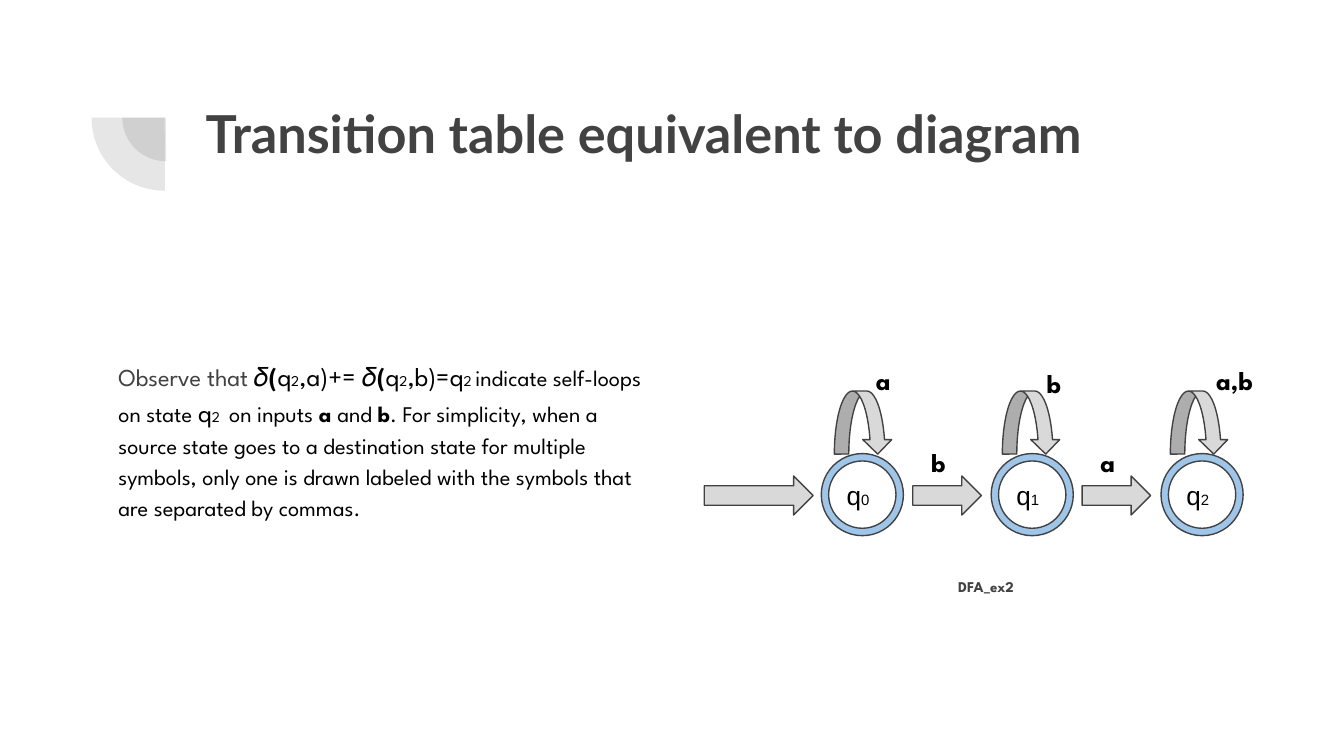
"""Build a slide that explains self-loops in a three-state automaton diagram."""
from dataclasses import dataclass

import lxml.etree
import pptx
import pptx.dml.color
import pptx.enum.shapes
import pptx.enum.text
import pptx.oxml.ns
import pptx.presentation
import pptx.shapes.autoshape
import pptx.shapes.base
import pptx.slide
import pptx.text.text
import pptx.util

Pt = pptx.util.Pt
Preset = pptx.enum.shapes.MSO_SHAPE
Anchor = pptx.enum.text.MSO_ANCHOR
qn = pptx.oxml.ns.qn


@dataclass(frozen=True)
class Theme:
    """Colours, fonts and type sizes."""

    ink: str = "424242"
    caption_ink: str = "434343"
    black: str = "000000"
    state_fill: str = "9FC5E8"
    arrow_fill: str = "D9D9D9"
    title_font: str = "Lato"
    body_font: str = "League Spartan"
    state_font: str = "Arial"
    title: float = 28
    symbol: float = 14
    lead: float = 13
    body: float = 12
    small: float = 8
    outline: float = 0.75
    ornament_alpha: int = 13000


THEME = Theme()


@dataclass(frozen=True)
class Box:
    """A rectangle in points."""

    left: float
    top: float
    width: float
    height: float


@dataclass(frozen=True)
class Span:
    """A stretch of text with one format."""

    text: str
    size: float
    bold: bool = False
    color: str = THEME.black


@dataclass(frozen=True)
class Label:
    """A bold line of text beside an arrow or below the diagram."""

    text: str
    box: Box
    size: float = THEME.symbol
    color: str = THEME.black


STATE_LEFT, STATE_STEP = 440, 91
LOOP_LEFT, LOOP_STEP = 447, 90
STATE_COUNT = 3
ARROWS = [Box(377.3, 255, 58.3, 20.9), Box(489, 255, 36.7, 20.9), Box(579.7, 255, 36.7, 20.9)]
ORNAMENTS = [Box(65.5, 39.6, 46.8, 46.8), Box(49, 23.7, 78.5, 78.5)]
LABELS = [
    Label("a", Box(462.2, 188, 31, 30)),
    Label("b", Box(491.8, 231.8, 31, 30)),
    Label("b", Box(553.7, 189.8, 31, 26)),
    Label("a", Box(582.5, 231.8, 31, 30)),
    Label("a,b", Box(644.4, 188, 44, 30)),
    Label("DFA_ex2", Box(506.2, 302.4, 82.8, 31), THEME.small, THEME.caption_ink),
]
OBSERVATION = [
    Span("Observe that ", THEME.lead, color=THEME.ink),
    Span("𝛿(", THEME.symbol, True),
    Span("q", THEME.symbol),
    Span("2", THEME.small),
    Span(",a)+= ", THEME.symbol),
    Span("𝛿(", THEME.symbol, True),
    Span("q", THEME.symbol),
    Span("2", THEME.small),
    Span(",b)=q", THEME.symbol),
    Span("2 ", THEME.small),
    Span("indicate self-loops on state ", THEME.body),
    Span("q", THEME.symbol),
    Span("2 ", THEME.small),
    Span(" on inputs ", THEME.body),
    Span("a ", THEME.body, True),
    Span("and ", THEME.body),
    Span("b", THEME.body, True),
    Span(
        ". For simplicity, when a source state goes to a destination state for multiple "
        "symbols, only one is drawn labeled with the symbols that are separated by commas.",
        THEME.body,
    ),
]


def rgb(color: str) -> pptx.dml.color.RGBColor:
    """Turn a hex string into a colour."""
    return pptx.dml.color.RGBColor.from_string(color)


def place(target: pptx.shapes.base.BaseShape, box: Box) -> None:
    """Move and size a placeholder."""
    target.left, target.top = Pt(box.left), Pt(box.top)
    target.width, target.height = Pt(box.width), Pt(box.height)


def write(frame: pptx.text.text.TextFrame, spans: list[Span], font: str,
          anchor: Anchor = Anchor.TOP) -> pptx.text.text._Paragraph:
    """Fill a text frame with one left-aligned paragraph of formatted spans."""
    frame.word_wrap = True
    frame.auto_size = pptx.enum.text.MSO_AUTO_SIZE.NONE
    frame.vertical_anchor = anchor
    frame.margin_left = frame.margin_right = frame.margin_top = frame.margin_bottom = Pt(7.2)
    paragraph = frame.paragraphs[0]
    paragraph.alignment = pptx.enum.text.PP_ALIGN.LEFT
    paragraph.space_before = Pt(0)
    for span in spans:
        run = paragraph.add_run()
        run.text = span.text
        run.font.name, run.font.size, run.font.bold = font, Pt(span.size), span.bold
        run.font.color.rgb = rgb(span.color)
    return paragraph


def draw_preset(slide: pptx.slide.Slide, preset: Preset, box: Box, fill: str,
                adjustments: tuple[float, ...]) -> pptx.shapes.autoshape.Shape:
    """Draw a filled and outlined preset shape."""
    figure = slide.shapes.add_shape(preset, Pt(box.left), Pt(box.top), Pt(box.width), Pt(box.height))
    figure.shadow.inherit = False
    figure.fill.solid()
    figure.fill.fore_color.rgb = rgb(fill)
    figure.line.color.rgb = rgb(THEME.ink)
    figure.line.width = Pt(THEME.outline)
    for index, value in enumerate(adjustments):
        figure.adjustments[index] = value
    return figure


def draw_ornament(slide: pptx.slide.Slide, box: Box) -> None:
    """Draw a translucent quarter disc."""
    quarter = draw_preset(slide, Preset.PIE, box, THEME.ink, (107.93, 162))
    quarter.rotation = 270
    quarter.line.fill.background()
    tint = quarter.fill._xPr.find(qn("a:solidFill"))[0]
    lxml.etree.SubElement(tint, qn("a:alpha")).set("val", str(THEME.ornament_alpha))


def draw_state(slide: pptx.slide.Slide, number: int) -> None:
    """Draw a state ring with its name."""
    box = Box(STATE_LEFT + number * STATE_STEP, 243, 44, 44)
    ring = draw_preset(slide, Preset.DONUT, box, THEME.state_fill, (0.09,))
    name = [Span("q", THEME.symbol), Span(str(number), THEME.small)]
    write(ring.text_frame, name, THEME.state_font, Anchor.MIDDLE)


def draw_label(slide: pptx.slide.Slide, label: Label) -> None:
    """Write a bold label."""
    box = label.box
    note = slide.shapes.add_textbox(Pt(box.left), Pt(box.top), Pt(box.width), Pt(box.height))
    write(note.text_frame, [Span(label.text, label.size, True, label.color)], THEME.body_font)


def main() -> None:
    """Build and save the slide."""
    deck = pptx.Presentation()
    deck.slide_width, deck.slide_height = Pt(720), Pt(405)
    slide = deck.slides.add_slide(deck.slide_layouts[1])
    title, body = slide.shapes.title, slide.placeholders[1]
    for box in ORNAMENTS:
        draw_ornament(slide, box)
    place(title, Box(103, 46.8, 553.7, 78.5))
    heading = Span("Transition table equivalent to diagram", THEME.title, True, THEME.ink)
    write(title.text_frame, [heading], THEME.title_font)
    place(body, Box(56.2, 183.6, 303.8, 200))
    observation = write(body.text_frame, OBSERVATION, THEME.body_font)
    observation.line_spacing, observation.space_after = 1.15, Pt(16)
    properties = observation._p.get_or_add_pPr()
    properties.set("marL", "0")
    properties.set("indent", "0")
    lxml.etree.SubElement(properties, qn("a:buNone"))
    for number in range(STATE_COUNT):
        draw_state(slide, number)
    for box in ARROWS:
        draw_preset(slide, Preset.RIGHT_ARROW, box, THEME.arrow_fill, (0.5, 0.5))
    for number in range(STATE_COUNT):
        loop = Box(LOOP_LEFT + number * LOOP_STEP, 209.5, 31, 33.8)
        draw_preset(slide, Preset.CURVED_DOWN_ARROW, loop, THEME.arrow_fill, (0.25, 0.5, 0.25))
    for label in LABELS:
        draw_label(slide, label)
    deck.save("out.pptx")


if __name__ == "__main__":
    main()
